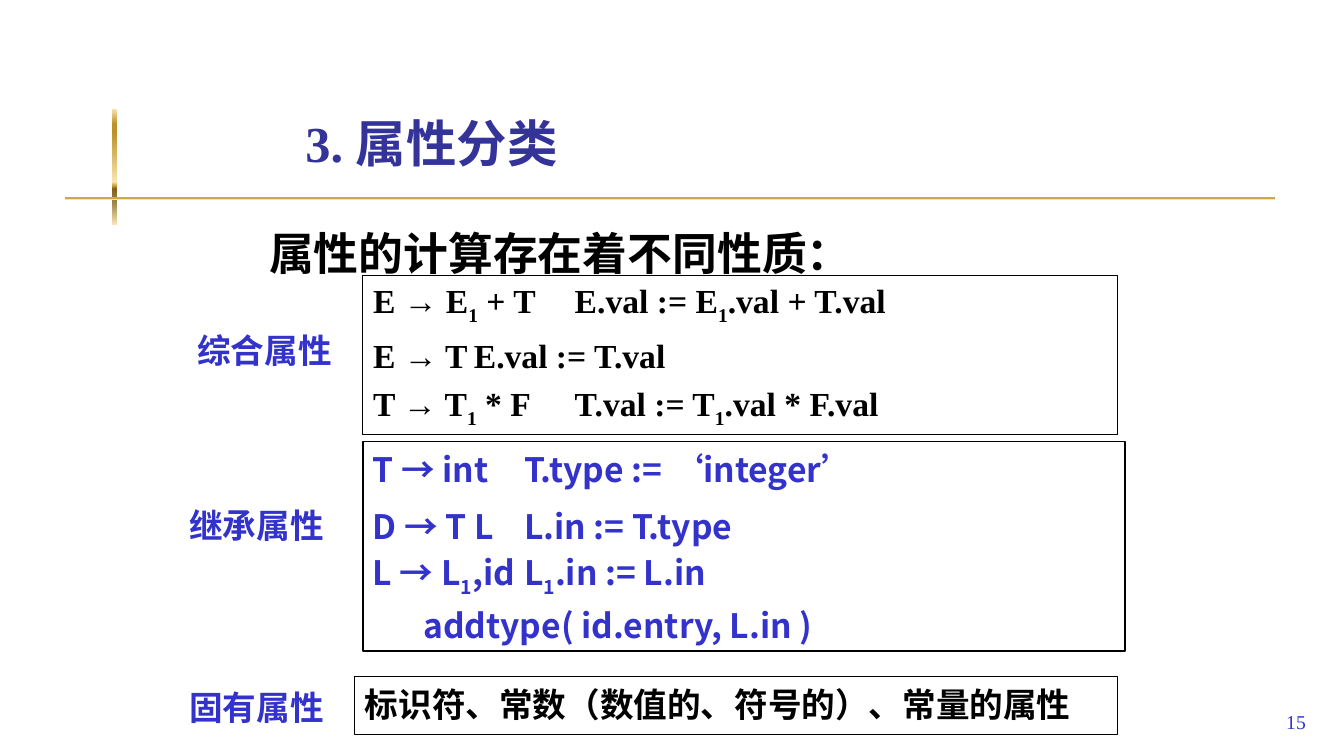
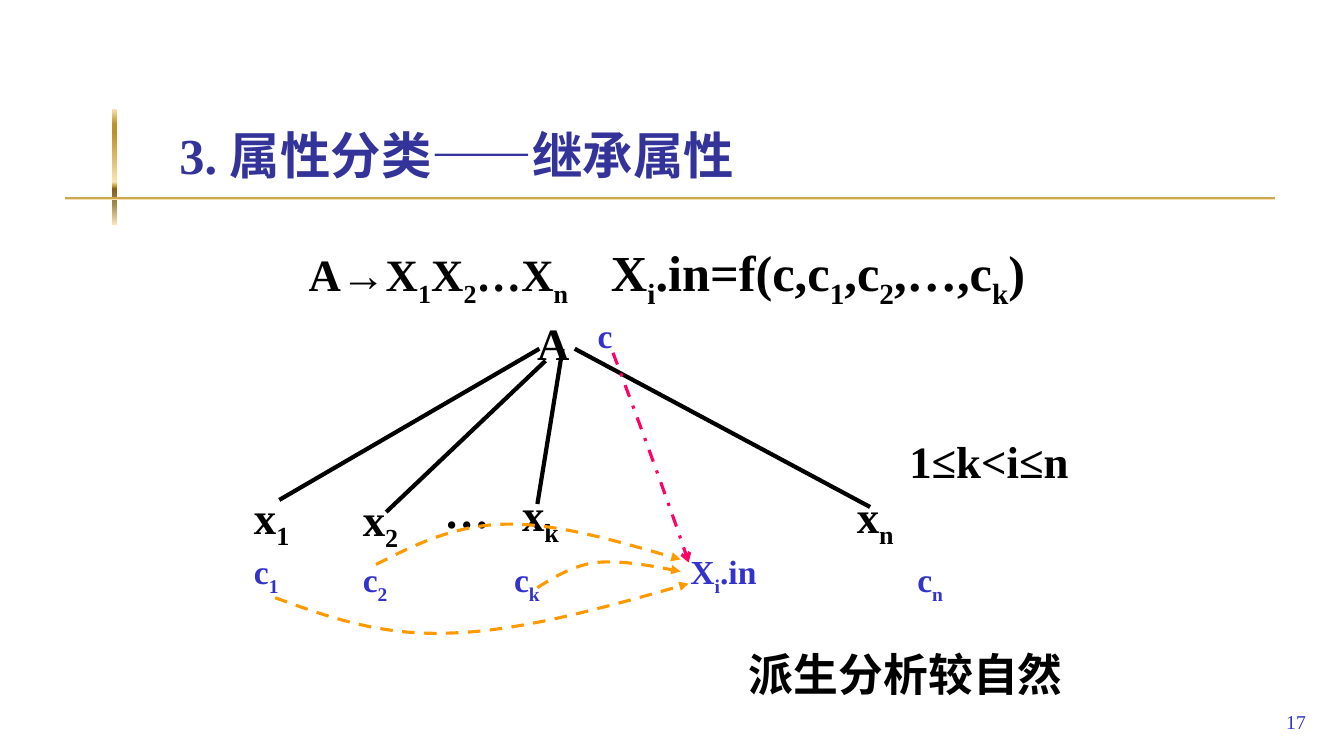
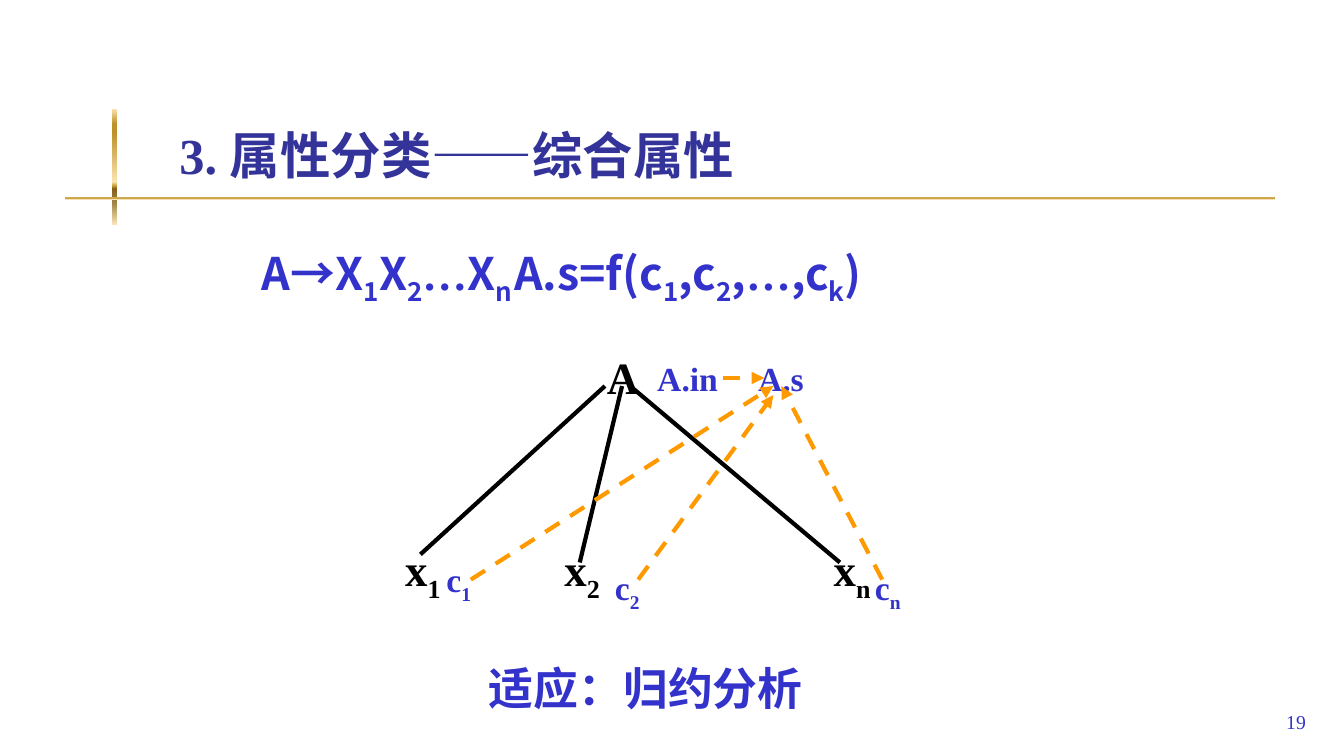
from dataclasses import dataclass, replace
from typing import Any, Optional

from lxml import etree
from pptx import Presentation
from pptx import util as u
from pptx.dml.color import RGBColor
from pptx.enum import dml, shapes, text
from pptx.oxml.ns import qn

TIMES, CJK, CJK_JP = "Times New Roman", "Noto Sans CJK SC", "Noto Sans CJK JP"
BLACK, BLUE, TITLE_BLUE, ORANGE, PINK = "000000", "3333CC", "333399", "FF9900", "FF0066"
GOLD_STOPS = [(0, "FBE4AE"), (13, "BD922A"), (21, "BD922A"), (63, "FBE4AE"),
              (67, "BD922A"), (69, "835E17"), (82, "A28949"), (100, "FAE3B7")]
GOLD_BARS = [(1.11, 1.08, 0.05, 1.15), (0.65, 1.95, 12, 0.03)]
WIDE_TITLE = (1.68, 0.23, 11.36, 1.6)
DASH = dml.MSO_LINE_DASH_STYLE.DASH
DASH_DOT = dml.MSO_LINE_DASH_STYLE.DASH_DOT
Rect = tuple[float, float, float, float]
Point = tuple[float, float]


@dataclass(frozen=True)
class Style:
    size: float
    font: str = TIMES
    color: str = BLACK
    bold: bool = True
    spacing: Any = None  # a multiple, or a fixed length
    tab: Optional[float] = None
    align: Any = text.PP_ALIGN.LEFT


@dataclass(frozen=True)
class Span:
    """Marked text: the character after each _ is a subscript."""
    marked: str
    size: Optional[float] = None
    font: Optional[str] = None


@dataclass(frozen=True)
class Para:
    spans: tuple[Span, ...]
    before: float = 0


@dataclass(frozen=True)
class Stroke:
    color: str
    width: float
    dash: Any = None
    arrow: Optional[str] = None


@dataclass(frozen=True)
class Label:
    marked: str
    at: Rect
    style: Style


def cjk(size: float, color: str, font: str = CJK_JP, ratio: float = 1.28, **more: Any) -> Style:
    return Style(size, font, color, spacing=u.Pt(ratio * size), **more)


TITLE = Style(36, color=TITLE_BLUE)
PAGE_NUMBER = Style(14, color=BLUE, bold=False, align=text.PP_ALIGN.RIGHT)
NODE = Style(32)
ATTRIBUTE = Style(24, color=BLUE)
CATEGORY = cjk(24, BLUE)
BRANCH = Stroke(BLACK, 3)
FLOW = Stroke(ORANGE, 3, DASH, "triangle")
CURVED_FLOW = replace(FLOW, width=2.25)
INHERITED_FLOW = Stroke(PINK, 2.25, DASH_DOT, "arrow")


def rgb(value: str) -> RGBColor:
    return RGBColor.from_string(value)


def apply(target: Any, values: dict[str, Any]) -> None:
    for name, value in values.items():
        setattr(target, name, value)


def sub(parent: Any, tag: str, **attributes: str) -> Any:
    return etree.SubElement(parent, qn(tag), attributes)


def inches(values: tuple[float, ...]) -> list[int]:
    return [u.Inches(value) for value in values]


# Text
def add_run(paragraph: Any, content: str, span: Span, style: Style, lowered: bool) -> None:
    if not content:
        return
    run = paragraph.add_run()
    run.text = content
    font_name = span.font or style.font
    apply(run.font, {"size": u.Pt(span.size or style.size), "bold": style.bold, "name": font_name})
    run.font.color.rgb = rgb(style.color)
    properties = run.font._element
    sub(properties, "a:ea", typeface=CJK if font_name == TIMES else font_name)
    if lowered:
        properties.set("baseline", "-25000")


def write(shape: Any, paras: list[Para], style: Style, **frame_format: Any) -> None:
    frame = shape.text_frame
    apply(frame, {"word_wrap": True, "auto_size": text.MSO_AUTO_SIZE.NONE,
                  "vertical_anchor": text.MSO_ANCHOR.TOP} | frame_format)
    for index, para in enumerate(paras):
        paragraph = frame.add_paragraph() if index else frame.paragraphs[0]
        properties = paragraph._p.get_or_add_pPr()
        apply_indent = {"marL": "0", "indent": "0"}
        properties.attrib.update(apply_indent)
        sub(properties, "a:buNone")
        if style.tab:
            tabs = sub(properties, "a:tabLst")
            sub(tabs, "a:tab", pos=str(u.Inches(style.tab)), algn="l")
        apply(paragraph, {"alignment": style.align, "line_spacing": style.spacing,
                          "space_before": u.Pt(para.before)})
        for span in para.spans:
            plain, *rest = span.marked.split("_")
            add_run(paragraph, plain, span, style, False)
            for piece in rest:
                add_run(paragraph, piece[0], span, style, True)
                add_run(paragraph, piece[1:], span, style, False)


def line_of(marked: str, before: float = 0) -> Para:
    return Para((Span(marked),), before)


def place(shape: Any, at: Rect) -> None:
    apply(shape, dict(zip(("left", "top", "width", "height"), inches(at))))


def add_text(slide: Any, at: Rect, paras: list[Para], style: Style, **frame_format: Any) -> Any:
    box = slide.shapes.add_textbox(*inches(at))
    write(box, paras, style, **frame_format)
    return box


def add_labels(slide: Any, labels: list[Label]) -> None:
    for label in labels:
        add_text(slide, label.at, [line_of(label.marked)], label.style)


# Lines
def set_stroke(shape: Any, stroke: Stroke) -> None:
    shape.line.width = u.Pt(stroke.width)
    shape.line.color.rgb = rgb(stroke.color)
    if stroke.dash:
        shape.line.dash_style = stroke.dash
    if stroke.arrow:
        sub(shape.element.spPr.find(qn("a:ln")), "a:tailEnd", type=stroke.arrow)


def add_line(slide: Any, start: Point, end: Point, stroke: Stroke) -> None:
    line = slide.shapes.add_connector(shapes.MSO_CONNECTOR.STRAIGHT, *inches(start + end))
    set_stroke(line, stroke)
    sub(line.element.spPr, "a:effectLst")


def add_curve(slide: Any, points: list[Point], stroke: Stroke) -> None:
    """Start point, then groups of three Bezier points."""
    start, *others = [tuple(inches(point)) for point in points]
    builder = slide.shapes.build_freeform(*start)
    builder.add_line_segments(others, close=False)
    curve = builder.convert_to_shape()
    segments = list(curve.element.iter(qn("a:lnTo")))
    outline = segments[0].getparent()
    for first in range(0, len(segments), 3):
        bezier = sub(outline, "a:cubicBezTo")
        for segment in segments[first:first + 3]:
            bezier.append(segment[0])
            outline.remove(segment)
    curve.fill.background()
    curve.shadow.inherit = False
    set_stroke(curve, stroke)


# Shared parts
def add_gold_bars(prs: Any, slide: Any) -> None:
    """Draw the bars and move them to the slide master."""
    tree = prs.slide_master.shapes.element
    for index, at in enumerate(GOLD_BARS):
        bar = slide.shapes.add_shape(shapes.MSO_SHAPE.RECTANGLE, *inches(at))
        bar.shadow.inherit = False
        bar.line.fill.background()
        bar.fill.gradient()
        bar.fill.gradient_angle = 270
        stops = bar.element.spPr.find(qn("a:gradFill")).find(qn("a:gsLst"))
        for old_stop in list(stops):
            stops.remove(old_stop)
        for percent, color in GOLD_STOPS:
            sub(sub(stops, "a:gs", pos=str(percent * 1000)), "a:srgbClr", val=color)
        bar.element.nvSpPr.cNvPr.set("id", str(20 + index))
        tree.insert(2 + index, bar.element)


def new_slide(prs: Any, layout: int, title: str, at: Rect, page: str, **title_format: Any) -> Any:
    slide = prs.slides.add_slide(prs.slide_layouts[layout])
    place(slide.shapes.title, at)
    write(slide.shapes.title, [line_of(title)], TITLE, **title_format)
    add_text(slide, (10.27, 6.83, 2.78, 0.5), [line_of(page)], PAGE_NUMBER,
             vertical_anchor=text.MSO_ANCHOR.BOTTOM)
    return slide


TITLE_AT_BOTTOM = {"vertical_anchor": text.MSO_ANCHOR.BOTTOM, "margin_bottom": 0}


# Kinds of attributes
def kinds_slide(prs: Any) -> None:
    slide = new_slide(prs, 1, "3. 属性分类", (2.93, 0.99, 8.52, 0.84), "15",
                      vertical_anchor=text.MSO_ANCHOR.MIDDLE)
    add_gold_bars(prs, slide)
    synthesized = slide.placeholders[1]
    place(synthesized, (3.6, 2.73, 7.48, 1.58))
    write(synthesized, [line_of("E → E_1 + T\tE.val := E_1.val + T.val"),
                        line_of("E → T\tE.val := T.val", 6),
                        line_of("T → T_1 * F\tT.val := T_1.val * F.val", 6)],
          Style(24, tab=3.37))
    inherited = add_text(slide, (3.6, 4.38, 7.56, 2.08),
                         [line_of("T → int\tT.type := ‘integer’"),
                          line_of("D → T L\tL.in := T.type", 10),
                          line_of("L → L_1,id\tL_1.in := L.in", 6),
                          line_of("\taddtype( id.entry, L.in )", 3.3)],
                         cjk(24, BLUE, CJK, tab=3))
    intrinsic = add_text(slide, (3.52, 6.71, 7.56, 0.58),
                         [line_of("标识符、常数（数值的、符号的）、常量的属性")], cjk(24, BLACK))
    for rules, width in ((synthesized, 0.75), (inherited, 1), (intrinsic, 0.75)):
        set_stroke(rules, Stroke(BLACK, width))
    add_labels(slide, [
        Label("属性的计算存在着不同性质：", (2.57, 2.1, 8.92, 0.69), cjk(32, BLACK, ratio=1.4)),
        Label("综合属性", (1.86, 3.2, 1.57, 0.51), CATEGORY),
        Label("继承属性", (1.78, 4.93, 1.65, 0.51), CATEGORY),
        Label("固有属性", (1.78, 6.74, 1.73, 0.5), CATEGORY),
    ])


# Inherited attributes
def inherited_slide(prs: Any) -> None:
    slide = new_slide(prs, 1, "3. 属性分类——继承属性", WIDE_TITLE, "17", **TITLE_AT_BOTTOM)
    formula = slide.placeholders[1]
    place(formula, (2.96, 2.21, 8.5, 0.83))
    write(formula, [Para((Span("A→X_1X_2…X_n\t"), Span("X_i.in=f(c,c_1,c_2,…,c_k)", size=36)))],
          Style(32, spacing=1.2, tab=3.38))
    node_size, attribute_size = (0.94, 0.63), (0.67, 0.5)
    nodes = [("x_1", 2.42, 4.81), ("x_2", 3.5, 4.83), ("…", 4.31, 4.75),
             ("x_k", 5.08, 4.78), ("x_n", 8.4, 4.8), ("A", 5.23, 3.08)]
    attributes = [("c_1", 2.42, 5.42), ("c_2", 3.5, 5.5), ("c_k", 5, 5.5),
                  ("c_n", 9, 5.5), ("c", 5.83, 3.08)]
    add_labels(slide, [Label(name, (x, y, *node_size), NODE) for name, x, y in nodes])
    for start, end in [((5.35, 3.46), (2.77, 4.96)), ((5.41, 3.58), (3.83, 5.08)),
                       ((5.58, 3.46), (5.33, 5)), ((5.7, 3.46), (8.63, 5.03))]:
        add_line(slide, start, end, BRANCH)
    for curve in [
        [(5.33, 5.83), (5.51, 5.72), (5.68, 5.61), (5.92, 5.58),
         (6.15, 5.56), (6.45, 5.61), (6.75, 5.67)],
        [(3.73, 5.6), (4.12, 5.4), (4.51, 5.21), (5.01, 5.2),
         (5.51, 5.19), (6.13, 5.37), (6.75, 5.55)],
        [(2.73, 5.93), (3.25, 6.12), (3.78, 6.31), (4.47, 6.28),
         (5.15, 6.26), (5.99, 6.03), (6.83, 5.79)],
    ]:
        add_curve(slide, curve, CURVED_FLOW)
    add_curve(slide, [(6.08, 3.5), (6.4, 4.35), (6.71, 5.21), (6.83, 5.58)], INHERITED_FLOW)
    add_labels(slide, [Label(name, (x, y, *attribute_size), ATTRIBUTE)
                       for name, x, y in attributes])
    add_labels(slide, [
        Label("X_i.in", (6.75, 5.42, 1, 0.5), ATTRIBUTE),
        Label("1≤k<i≤n", (8.92, 4.25, 2.5, 0.63), NODE),
        Label("派生分析较自然", (7.33, 6.33, 3.5, 0.63), cjk(32, BLACK, TIMES)),
    ])


# Synthesized attributes
def synthesized_slide(prs: Any) -> None:
    slide = new_slide(prs, 5, "3. 属性分类——综合属性", WIDE_TITLE, "19", **TITLE_AT_BOTTOM)
    dots = Span("…", font=TIMES)
    formula = Para((Span("A→X_1X_2"), dots, Span("X_n\tA.s=f(c_1,c_2,"), dots, Span(",c_k)")))
    add_text(slide, (2.5, 2.37, 8.08, 1.18), [formula], cjk(32, BLUE, CJK, 1.4, tab=4))
    node_size, attribute_size = (0.67, 0.63), (0.67, 0.5)
    nodes = [("A", 5.92, 3.42), ("x_1", 3.92, 5.33), ("x_2", 5.5, 5.33), ("x_n", 8.17, 5.33)]
    attributes = [("c_1", 4.33, 5.5), ("c_2", 6, 5.58), ("c_n", 8.58, 5.58)]
    add_labels(slide, [Label(name, (x, y, *node_size), NODE) for name, x, y in nodes])
    for start, end in [((6, 3.83), (4.17, 5.5)), ((6.17, 3.83), (5.75, 5.58)),
                       ((6.25, 3.83), (8.33, 5.58))]:
        add_line(slide, start, end, BRANCH)
    add_labels(slide, [Label(name, (x, y, *attribute_size), ATTRIBUTE)
                       for name, x, y in attributes])
    add_labels(slide, [
        Label("A.in", (6.42, 3.5, 0.92, 0.5), ATTRIBUTE),
        Label("A.s", (7.42, 3.5, 0.83, 0.5), ATTRIBUTE),
        Label("适应：归约分析", (4.75, 6.47, 3.4, 0.64), cjk(32, BLUE)),
    ])
    for start, end in [((4.67, 5.75), (7.67, 3.83)), ((6.33, 5.75), (7.67, 3.92)),
                       ((8.75, 5.75), (7.75, 3.83)), ((7.17, 3.75), (7.58, 3.75))]:
        add_line(slide, start, end, FLOW)


def main() -> None:
    prs = Presentation()
    apply(prs, {"slide_width": u.Inches(13.33), "slide_height": u.Inches(7.5)})
    for build in (kinds_slide, inherited_slide, synthesized_slide):
        build(prs)
    prs.save("out.pptx")


if __name__ == "__main__":
    main()
